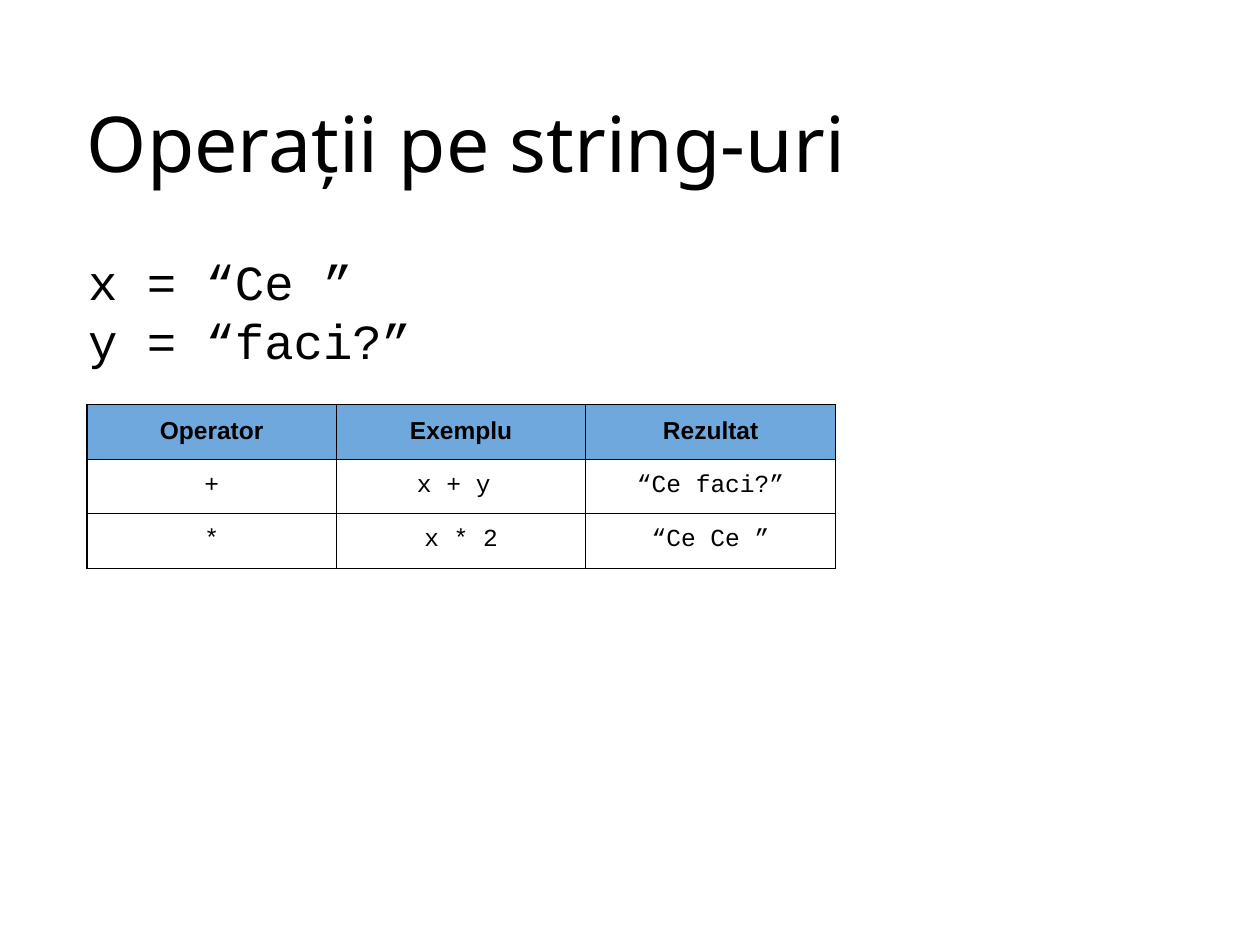
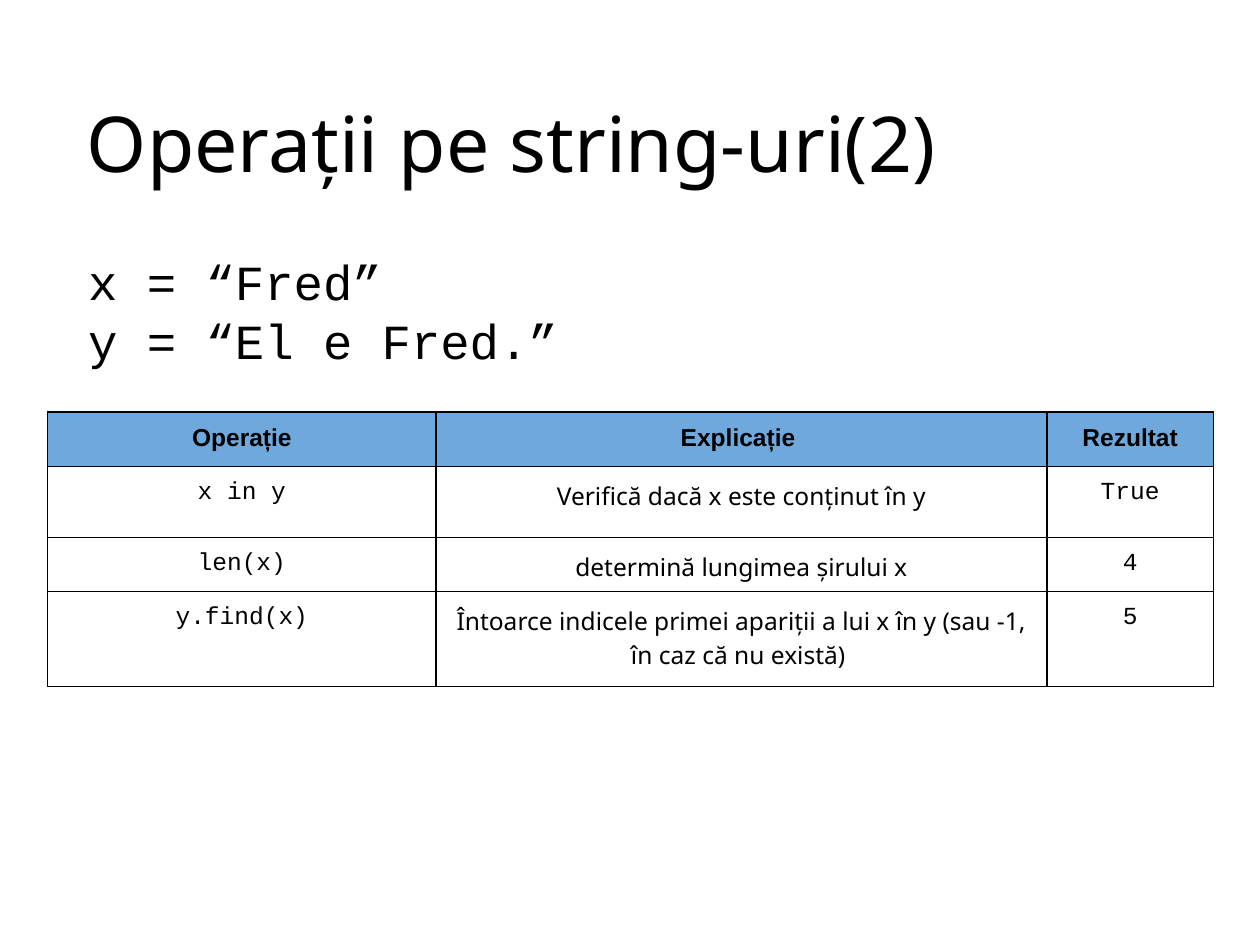
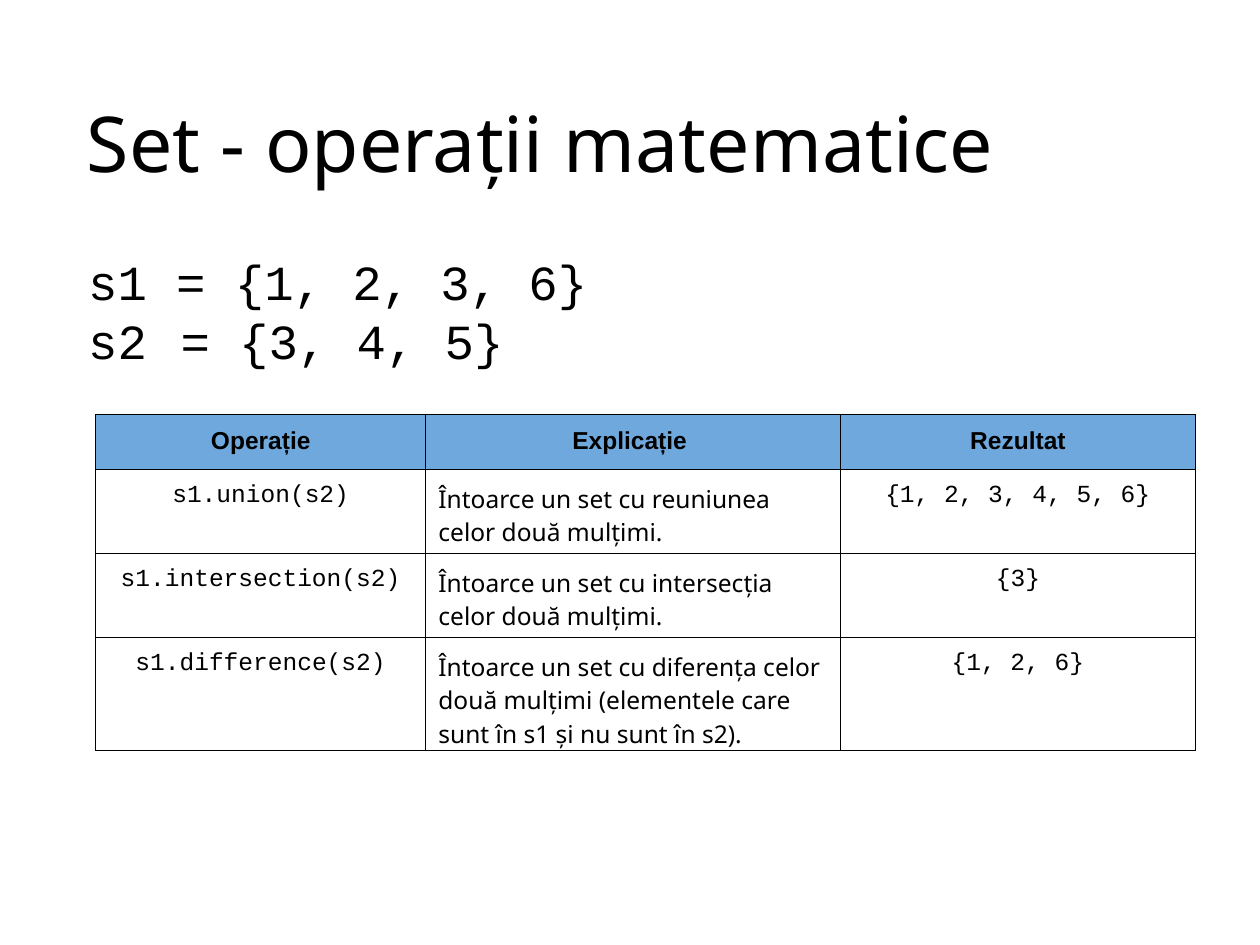
"""Build three slides on string and set operations, each with a code sample and a table."""
from lxml import etree
from pptx import Presentation
from pptx import util as u
from pptx.dml.color import RGBColor
from pptx.enum import text
from pptx.oxml import ns

BLACK = RGBColor(0x00, 0x00, 0x00)
HEADER_BLUE = RGBColor(0x6F, 0xA8, 0xDC)
SANS, CODE, HEADING = "Noto Sans", "Courier New", "Arial"
CENTER, LEFT = text.PP_ALIGN.CENTER, text.PP_ALIGN.LEFT

TITLE_FORMAT = {"name": SANS, "size": u.Pt(44), "bold": False}
SAMPLE_FORMAT = {"name": CODE, "size": u.Pt(28), "bold": False}
HEADER_FORMAT = {"name": HEADING, "size": u.Pt(14), "bold": True}
CODE_FORMAT = {"name": CODE, "size": u.Pt(14), "bold": False}
PROSE_FORMAT = {"name": SANS, "size": u.Pt(14), "bold": False}

EXPLAINED_HEADER = ["Operație", "Explicație ", "Rezultat"]
EXPLAINED_ROWS = [3.6, 5.6, 3.6, 7.5]

SLIDES = [
    {
        "title": "Operații pe string-uri",
        "sample": ["x = “Ce ”", "y = “faci?”"],
        "corner": (6.9, 32.1),
        "columns": [19.8] * 3,
        "rows": [4.2] * 3,
        "formats": [CODE_FORMAT] * 3,
        "aligns": [CENTER] * 3,
        "cells": [
            ["Operator", "Exemplu", "Rezultat"],
            ["+", "x + y ", "“Ce faci?”"],
            ["*", "x * 2", "“Ce Ce ”"],
        ],
    },
    {
        "title": "Operații pe string-uri(2)",
        "sample": ["x = “Fred”", "y = “El e Fred.”"],
        "corner": (3.8, 32.7),
        "columns": [30.8, 48.5, 13.2],
        "rows": EXPLAINED_ROWS,
        "formats": [CODE_FORMAT, PROSE_FORMAT, CODE_FORMAT],
        "aligns": [CENTER] * 3,
        "cells": [
            EXPLAINED_HEADER,
            ["x in y", "Verifică dacă x este conținut în y", "True"],
            ["len(x)", "determină lungimea șirului x", "4"],
            ["y.find(x)", "Întoarce indicele primei apariții a lui x în y (sau -1, în caz că nu există) ", "5"],
        ],
    },
    {
        "title": "Set - operații matematice",
        "sample": ["s1 = {1, 2, 3, 6}", "s2\t = {3, 4, 5}"],
        "corner": (7.6, 32.9),
        "columns": [26.2, 32.9, 28.2],
        "rows": EXPLAINED_ROWS,
        "formats": [CODE_FORMAT, PROSE_FORMAT, CODE_FORMAT],
        "aligns": [CENTER, LEFT, CENTER],
        "cells": [
            EXPLAINED_HEADER,
            ["s1.union(s2)", "Întoarce un set cu reuniunea celor două mulțimi.", "{1, 2, 3, 4, 5, 6}"],
            ["s1.intersection(s2)", "Întoarce un set cu intersecția celor două mulțimi.", "{3}"],
            [
                "s1.difference(s2)",
                "Întoarce un set cu diferența celor două mulțimi "
                "(elementele care sunt în s1 și nu sunt în s2).",
                "{1, 2, 6}",
            ],
        ],
    },
]

deck = Presentation()
deck.slide_width, deck.slide_height = u.Inches(10), u.Inches(7.5)
COLUMN, ROW = deck.slide_width / 100, deck.slide_height / 75


def write(frame, lines, style, align=LEFT, inset=0):
    """Fill a text frame or cell with equally styled paragraphs."""
    for side in ("left", "top", "right", "bottom"):
        setattr(frame, f"margin_{side}", u.Inches(inset))
    frame.word_wrap = True
    body = getattr(frame, "text_frame", frame)
    for index, line in enumerate(lines):
        para = body.paragraphs[0] if index == 0 else body.add_paragraph()
        para.alignment = align
        span = para.add_run()
        span.text = line
        span.font.color.rgb = BLACK
        for name, value in style.items():
            setattr(span.font, name, value)


def outline(cell):
    """Draw a thin black border on all four sides of a cell."""
    properties = cell._tc.get_or_add_tcPr()
    for side in ("lnL", "lnR", "lnT", "lnB"):
        line = etree.SubElement(properties, ns.qn(f"a:{side}"), w=str(u.Pt(0.75)))
        fill = etree.SubElement(line, ns.qn("a:solidFill"))
        etree.SubElement(fill, ns.qn("a:srgbClr"), val=str(BLACK))


for content in SLIDES:
    page = deck.slides.add_slide(deck.slide_layouts[6])

    title = page.shapes.add_textbox(
        int(6.9 * COLUMN), int(4 * ROW), int(86.2 * COLUMN), int(14.5 * ROW)).text_frame
    title.vertical_anchor = text.MSO_ANCHOR.MIDDLE
    write(title, [content["title"]], TITLE_FORMAT)

    sample = page.shapes.add_textbox(
        int(7 * COLUMN), int(20 * ROW), int(86.2 * COLUMN), int(46.4 * ROW)).text_frame
    write(sample, content["sample"], SAMPLE_FORMAT)

    left, top = content["corner"]
    columns, rows = content["columns"], content["rows"]
    table = page.shapes.add_table(
        len(rows), len(columns), int(left * COLUMN), int(top * ROW),
        int(sum(columns) * COLUMN), int(sum(rows) * ROW)).table
    table.horz_banding = table.first_row = False
    for column, width in zip(table.columns, columns):
        column.width = int(width * COLUMN)
    for r, height in enumerate(rows):
        table.rows[r].height = int(height * ROW)
        for c, words in enumerate(content["cells"][r]):
            cell = table.cell(r, c)
            outline(cell)
            if r == 0:
                cell.fill.solid()
                cell.fill.fore_color.rgb = HEADER_BLUE
                write(cell, [words], HEADER_FORMAT, CENTER, 0.1)
            else:
                cell.fill.background()
                write(cell, [words], content["formats"][c], content["aligns"][c], 0.1)

deck.save("out.pptx")
